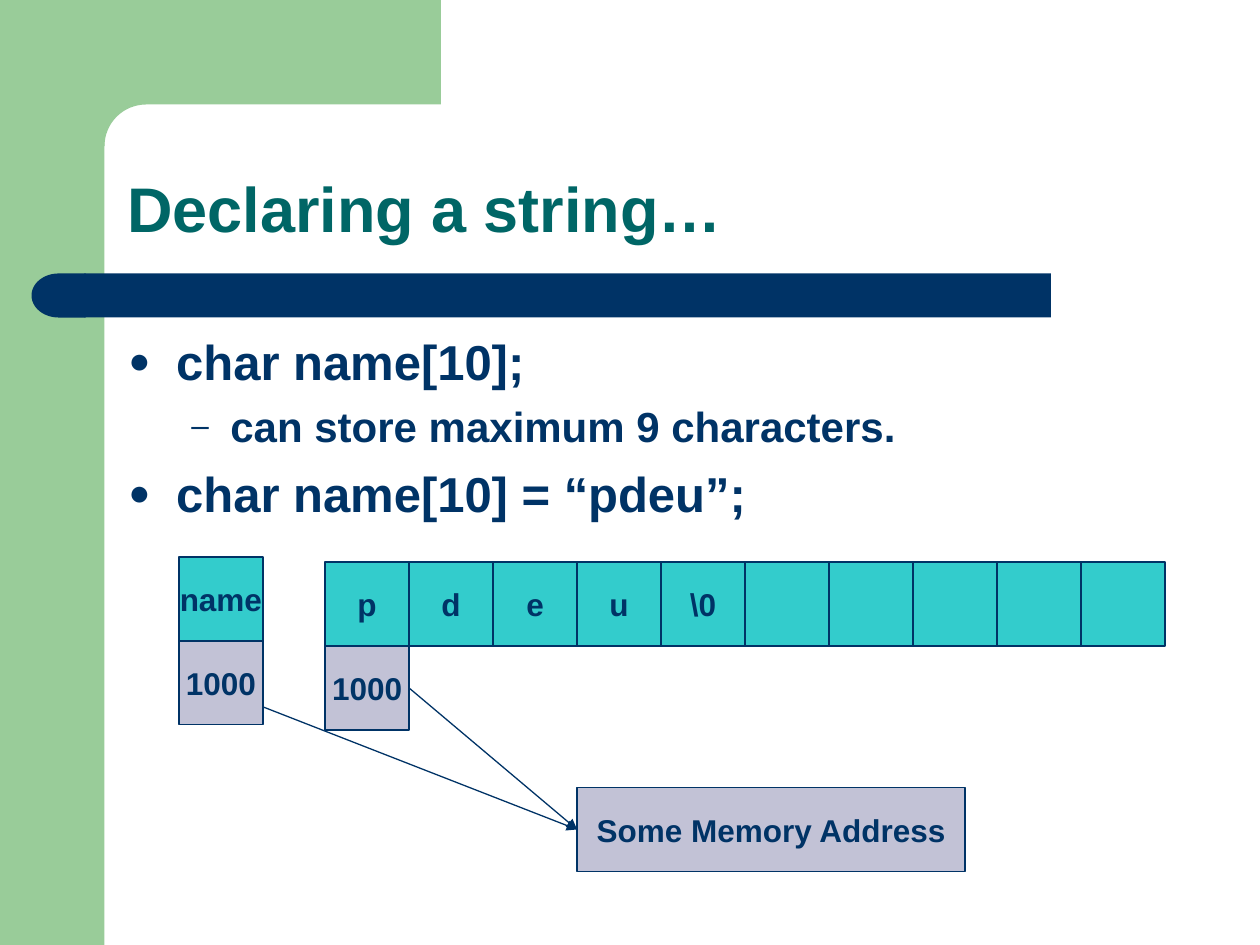
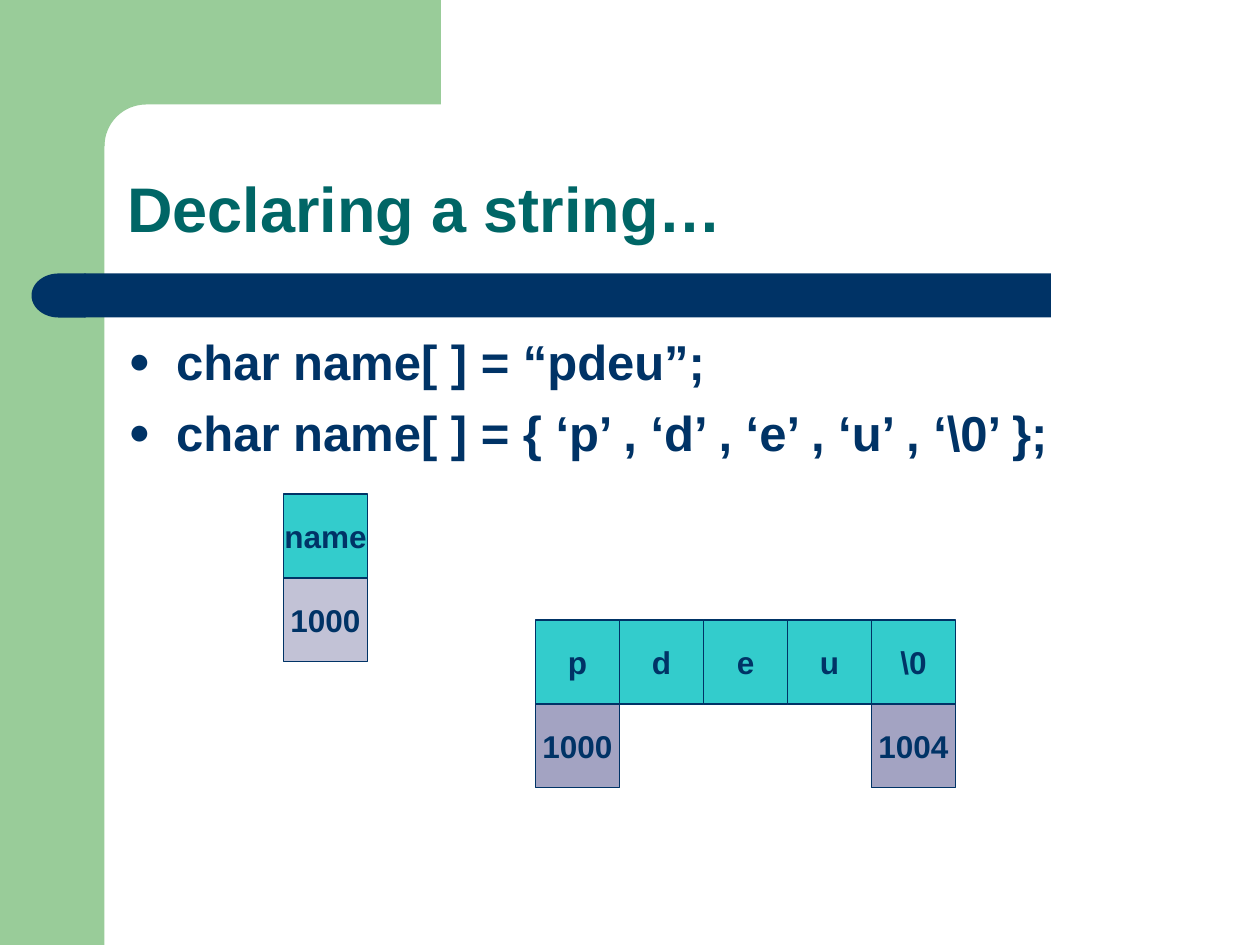
import math

import lxml.etree
import pptx
import pptx.dml.color
import pptx.enum.shapes
import pptx.enum.text
import pptx.oxml.ns
import pptx.util

Inches = pptx.util.Inches
Pt = pptx.util.Pt
RGBColor = pptx.dml.color.RGBColor
SHAPE = pptx.enum.shapes.MSO_SHAPE
ANCHOR = pptx.enum.text.MSO_ANCHOR
qn = pptx.oxml.ns.qn

GREEN = RGBColor(0x99, 0xCC, 0x99)
NAVY = RGBColor(0x00, 0x33, 0x66)
TEAL = RGBColor(0x00, 0x66, 0x66)
TURQUOISE = RGBColor(0x33, 0xCC, 0xCC)
LAVENDER = RGBColor(0xC2, 0xC2, 0xD6)
DUSK = RGBColor(0xA3, 0xA3, 0xC2)

FONT = "Arial"
CELL = 2 / 3

# bullet, text size, space before, left margin, hanging indent
LEVELS = [
    ("●", 28, 7, 0.38, 0.38),
    ("–", 24, 6, 0.81, 0.31),
]


def style_runs(paragraph, size, color):
    for run in paragraph.runs:
        run.font.name = FONT
        run.font.size = Pt(size)
        run.font.bold = True
        run.font.color.rgb = color


def paint(shape, fill, line=None):
    shape.shadow.inherit = False
    shape.fill.solid()
    shape.fill.fore_color.rgb = fill
    if line is None:
        shape.line.fill.background()
    else:
        shape.line.color.rgb = line
        shape.line.width = Pt(0.75)


def add_block(slide, kind, left, top, width, height, fill, line=None):
    block = slide.shapes.add_shape(
        kind, Inches(left), Inches(top), Inches(width), Inches(height))
    paint(block, fill, line)
    return block


def add_corner(slide, left, top, right, bottom, edge, radius):
    """Top band whose lower edge curves down into the side band at x = edge."""
    steps = 16
    arc = []
    for step in range(steps + 1):
        angle = math.pi / 2 * step / steps
        arc.append((edge + radius * (1 - math.sin(angle)),
                    bottom + radius * (1 - math.cos(angle))))
    outline = [(right, top), (right, bottom), *arc, (left, bottom + radius)]
    builder = slide.shapes.build_freeform(
        Inches(left), Inches(top), scale=1.0)
    builder.add_line_segments([(Inches(x), Inches(y)) for x, y in outline])
    paint(builder.convert_to_shape(), GREEN)


def add_frame(slide):
    add_block(slide, SHAPE.RECTANGLE, 0, 0, 0.83, 7.5, GREEN)
    add_corner(slide, 0.5, 0, 3.5, 0.83, edge=0.83, radius=0.33)
    add_block(slide, SHAPE.RECTANGLE, 0.67, 2.17, 7.67, 0.35, NAVY)
    bar_end = add_block(slide, SHAPE.FLOWCHART_DELAY, 0.25, 2.17, 0.43, 0.35, NAVY)
    bar_end.rotation = 180


def add_text_frame(slide, left, top, width, height):
    box = slide.shapes.add_textbox(
        Inches(left), Inches(top), Inches(width), Inches(height))
    box.text_frame.word_wrap = True
    return box.text_frame


def add_title(slide, text):
    title = add_text_frame(slide, 0.91, 0.91, 8.51, 1.09)
    title.vertical_anchor = ANCHOR.BOTTOM
    title.text = text
    title.paragraphs[0].line_spacing = 0.9
    style_runs(title.paragraphs[0], 36, TEAL)


def set_bullet(paragraph, char, margin, hanging):
    properties = paragraph._p.get_or_add_pPr()
    properties.set("marL", str(Inches(margin)))
    properties.set("indent", str(-Inches(hanging)))
    color = lxml.etree.SubElement(properties, qn("a:buClr"))
    lxml.etree.SubElement(color, qn("a:srgbClr"), val=str(NAVY))
    lxml.etree.SubElement(properties, qn("a:buSzPct"), val="75000")
    lxml.etree.SubElement(properties, qn("a:buFont"), typeface=FONT)
    lxml.etree.SubElement(properties, qn("a:buChar"), char=char)


def add_bullets(slide, height, items):
    """Write (level, text) items as a bulleted list."""
    body = add_text_frame(slide, 0.92, 2.58, 8.41, height)
    body.text = "\n".join(text for _, text in items)
    for paragraph, (level, _) in zip(body.paragraphs, items):
        char, size, before, margin, hanging = LEVELS[level]
        paragraph.level = level
        paragraph.space_before = Pt(before)
        set_bullet(paragraph, char, margin, hanging)
        style_runs(paragraph, size, NAVY)


def add_cell(slide, left, top, text, fill, width=CELL):
    cell = add_block(slide, SHAPE.RECTANGLE, left, top, width, CELL, fill, NAVY)
    if text:
        frame = cell.text_frame
        frame.word_wrap = False
        frame.vertical_anchor = ANCHOR.MIDDLE
        frame.text = text
        frame.paragraphs[0].alignment = pptx.enum.text.PP_ALIGN.CENTER
        style_runs(frame.paragraphs[0], 18, NAVY)
    return cell


def add_array(slide, left, top, values, addresses, address_fill):
    """Draw a row of cells, with addresses {index: text} below; return those."""
    for index, value in enumerate(values):
        add_cell(slide, left + index * CELL, top, value, TURQUOISE)
    return [add_cell(slide, left + index * CELL, top + CELL, text, address_fill)
            for index, text in addresses.items()]


def add_pointer(slide, left, top):
    add_cell(slide, left, top, "name", TURQUOISE)
    add_cell(slide, left, top + CELL, "1000", LAVENDER)


def add_arrow(slide, start, target):
    """Draw an arrow from the point start to the left side of target."""
    arrow = slide.shapes.add_connector(
        pptx.enum.shapes.MSO_CONNECTOR.STRAIGHT,
        Inches(start[0]), Inches(start[1]), target.left, target.top)
    arrow.end_connect(target, 1)
    arrow.line.color.rgb = NAVY
    arrow.line.width = Pt(0.75)
    line = arrow.line._get_or_add_ln()
    lxml.etree.SubElement(line, qn("a:tailEnd"), type="triangle")
    lxml.etree.SubElement(arrow._element.spPr, qn("a:effectLst"))
    return arrow


def add_string_slide(deck, body_height, bullets):
    slide = deck.slides.add_slide(deck.slide_layouts[6])
    add_frame(slide)
    add_title(slide, "Declaring a string…")
    add_bullets(slide, body_height, bullets)
    return slide


def build_fixed_size(deck):
    slide = add_string_slide(deck, 4.92, [
        (0, "char name[10];"),
        (1, "can store maximum 9 characters."),
        (0, "char name[10] = “pdeu”;"),
    ])
    letters = ["p", "d", "e", "u", "\\0"] + [""] * 5
    [first_address] = add_array(
        slide, 2.58, 4.46, letters, {0: "1000"}, LAVENDER)
    pointer_left, pointer_top = 1.42, 4.42
    add_pointer(slide, pointer_left, pointer_top)
    memory = add_cell(slide, 4.58, 6.25, "Some Memory Address", LAVENDER, 3.08)
    from_array = add_arrow(slide, (3.25, 5.46), memory)
    from_array.begin_connect(first_address, 3)
    add_arrow(slide, (pointer_left + CELL, pointer_top + 1.19), memory)


def build_implied_size(deck):
    slide = add_string_slide(deck, 4.07, [
        (0, "char name[ ] = “pdeu”;"),
        (0, "char name[ ] = { ‘p’ , ‘d’ , ‘e’ , ‘u’ , ‘\\0’ };"),
    ])
    add_array(slide, 4.25, 4.92, ["p", "d", "e", "u", "\\0"],
              {0: "1000", 4: "1004"}, DUSK)
    add_pointer(slide, 2.25, 3.92)


def main():
    deck = pptx.Presentation()
    deck.slide_width = Inches(10)
    deck.slide_height = Inches(7.5)
    build_fixed_size(deck)
    build_implied_size(deck)
    deck.save("out.pptx")


if __name__ == "__main__":
    main()
